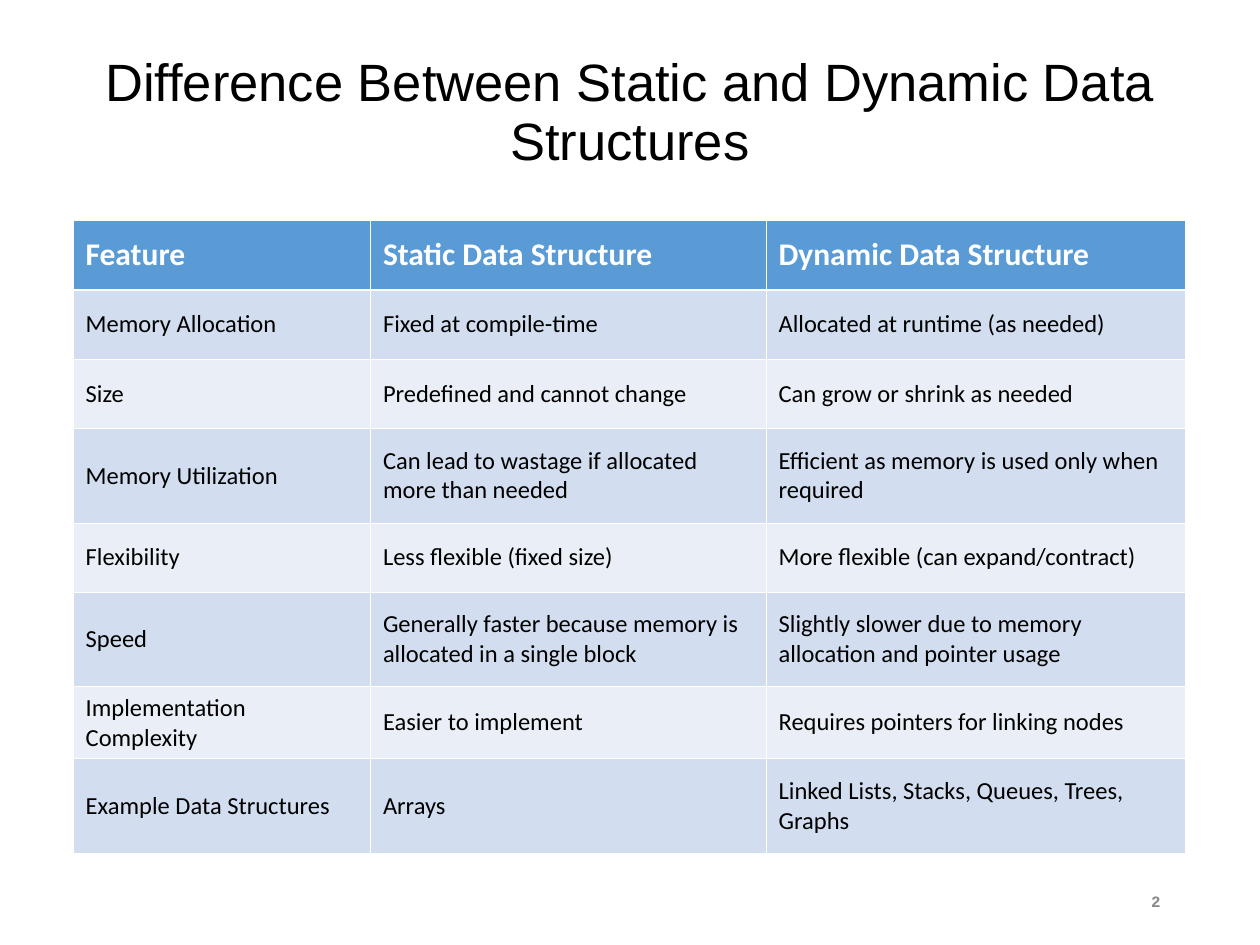
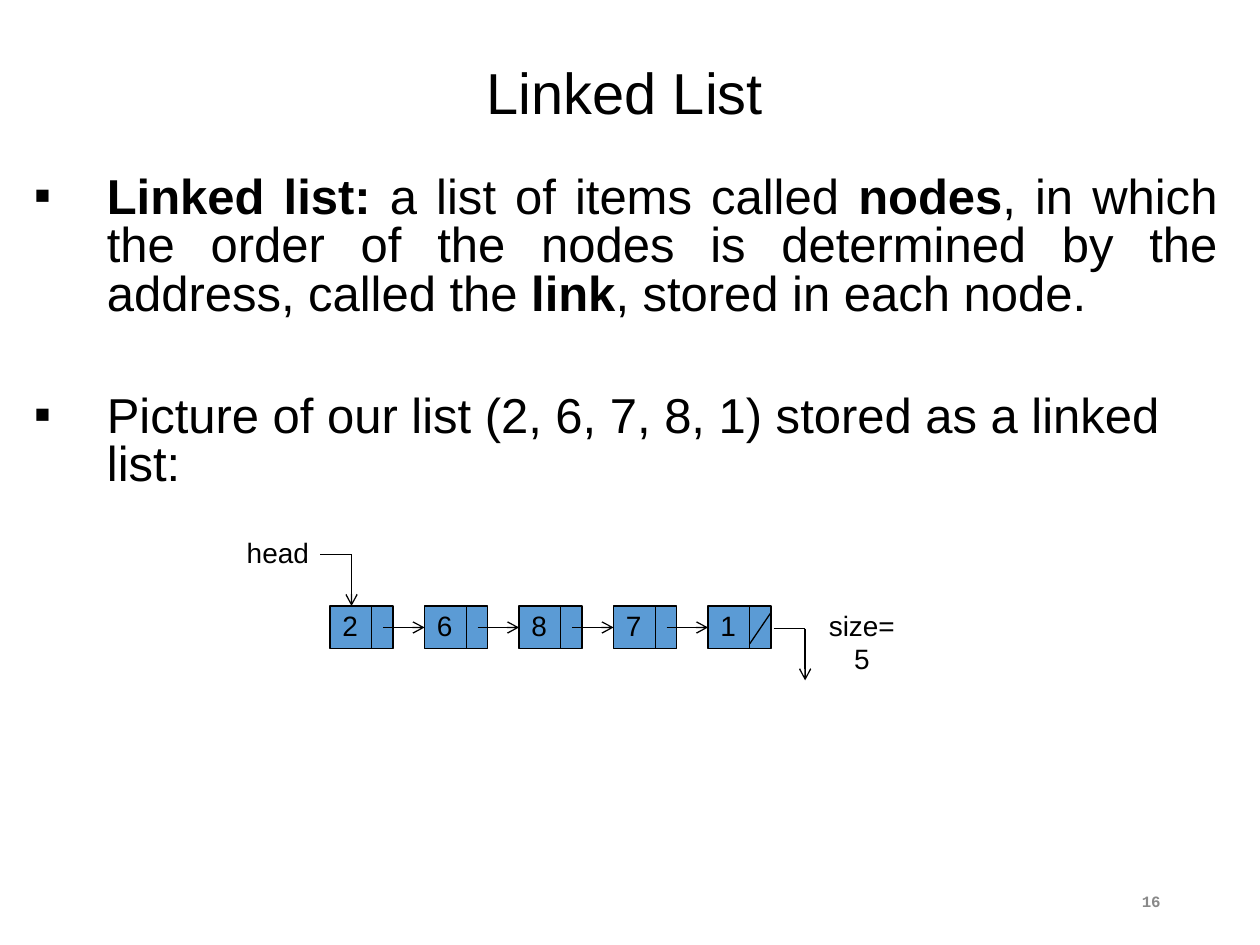
from dataclasses import dataclass

from lxml import etree
from pptx import Presentation
from pptx import util as u
from pptx.dml.color import RGBColor
from pptx.enum import shapes, text
from pptx.oxml import ns

PX = 9144
ALIGN = text.PP_ALIGN
MIDDLE = text.MSO_ANCHOR.MIDDLE


@dataclass(frozen=True)
class Theme:
    ink: str = "000000"
    paper: str = "FFFFFF"
    accent: str = "5B9BD5"
    band_dark: str = "D2DEEF"
    band_light: str = "EAEFF7"
    muted: str = "898989"
    sans: str = "Arial"
    table_font: str = "Calibri"
    mono: str = "Courier New"
    body_size: int = 28
    header_size: int = 18
    cell_size: int = 14
    label_size: int = 16
    number_size: int = 9
    line_width: float = 0.75
    thin_border: float = 0.45
    thick_border: float = 1.47


THEME = Theme()

FEATURES = [
    ("Feature", "Static Data Structure", "Dynamic Data Structure"),
    ("Memory Allocation", "Fixed at compile-time", "Allocated at runtime (as needed)"),
    ("Size", "Predefined and cannot change", "Can grow or shrink as needed"),
    ("Memory Utilization", "Can lead to wastage if allocated more than needed",
     "Efficient as memory is used only when required"),
    ("Flexibility", "Less flexible (fixed size)", "More flexible (can expand/contract)"),
    ("Speed", "Generally faster because memory is allocated in a single block",
     "Slightly slower due to memory allocation and pointer usage"),
    ("Implementation Complexity", "Easier to implement", "Requires pointers for linking nodes"),
    ("Example Data Structures", "Arrays", "Linked Lists, Stacks, Queues, Trees, Graphs"),
]
COLUMN_WIDTHS = (236, 314, 333)
ROW_HEIGHTS = (55, 55, 55, 75, 55, 75, 57, 75)

DEFINITION = [
    ("Linked list:", True),
    (" a list of items called ", False),
    ("nodes", True),
    (", in which the order of the nodes is determined by the address, called the ", False),
    ("link", True),
    (", stored in each node.", False),
]
CAPTION = [("Picture of our list (2, 6, 7, 8, 1) stored as a linked list:", False)]

NODE_VALUES = "26871"
NODE_LEFT, NODE_TOP, NODE_PITCH = 262, 481, 75
NODE_WIDTH, NODE_HEIGHT, VALUE_WIDTH = 50, 34, 33
LINK_Y = NODE_TOP + NODE_HEIGHT // 2


def px(*lengths):
    return [u.Emu(length * PX) for length in lengths]


def rgb(color):
    return RGBColor.from_string(color)


def add_span(para, words, size, color=THEME.ink, font=THEME.sans, bold=False):
    span = para.add_run()
    span.text = words
    span.font.size = u.Pt(size)
    span.font.name = font
    span.font.bold = bold
    span.font.color.rgb = rgb(color)


def add_titled_page(deck, title, size, left, top, number):
    page = deck.slides.add_slide(deck.slide_layouts[5])
    box = page.shapes.title
    box.left, box.top, box.width, box.height = px(left, top, 900, 100)
    frame = box.text_frame
    frame.auto_size = text.MSO_AUTO_SIZE.NONE
    frame.word_wrap = True
    frame.vertical_anchor = MIDDLE
    para = frame.paragraphs[0]
    para.alignment = ALIGN.CENTER
    para.line_spacing = 0.94
    add_span(para, title, size)
    add_page_number(page, number)
    return page


def add_page_number(page, number):
    frame = page.shapes.add_textbox(*px(706, 695, 225, 40)).text_frame
    frame.word_wrap = True
    frame.vertical_anchor = MIDDLE
    para = frame.paragraphs[0]
    para.alignment = ALIGN.RIGHT
    add_span(para, str(number), THEME.number_size, THEME.muted, THEME.mono, True)


def set_border(cell, side, width):
    props = cell._tc.get_or_add_tcPr()
    line = etree.SubElement(props, ns.qn(f"a:ln{side}"), w=str(int(u.Pt(width))))
    fill = etree.SubElement(line, ns.qn("a:solidFill"))
    etree.SubElement(fill, ns.qn("a:srgbClr"), val=THEME.paper)


def fill_cell(cell, words, row):
    header = row == 0
    thick_side = {0: "B", 1: "T"}.get(row)
    for side in "LRTB":
        set_border(cell, side, THEME.thick_border if side == thick_side else THEME.thin_border)
    band = THEME.band_dark if row % 2 else THEME.band_light
    cell.fill.solid()
    cell.fill.fore_color.rgb = rgb(THEME.accent if header else band)
    cell.vertical_anchor = MIDDLE
    add_span(cell.text_frame.paragraphs[0], words,
             THEME.header_size if header else THEME.cell_size,
             THEME.paper if header else THEME.ink, THEME.table_font, header)


def add_feature_table(page):
    size = px(58, 175, sum(COLUMN_WIDTHS), sum(ROW_HEIGHTS))
    table = page.shapes.add_table(len(FEATURES), len(COLUMN_WIDTHS), *size).table
    table.horz_banding = False
    for column, width in zip(table.columns, px(*COLUMN_WIDTHS)):
        column.width = width
    for row, height in zip(table.rows, px(*ROW_HEIGHTS)):
        row.height = height
    for row, entries in enumerate(FEATURES):
        for column, words in enumerate(entries):
            fill_cell(table.cell(row, column), words, row)


def add_bullet(para, spans, alignment):
    props = para._p.get_or_add_pPr()
    indent = 58 * PX
    props.set("marL", str(indent))
    props.set("indent", str(-indent))
    color = etree.SubElement(props, ns.qn("a:buClr"))
    etree.SubElement(color, ns.qn("a:srgbClr"), val=THEME.ink)
    etree.SubElement(props, ns.qn("a:buFont"), typeface=THEME.sans)
    etree.SubElement(props, ns.qn("a:buChar"), char="▪")
    para.alignment = alignment
    para.line_spacing = 0.83
    for words, bold in spans:
        add_span(para, words, THEME.body_size, bold=bold)


def add_explanation(page):
    frame = page.shapes.add_textbox(*px(17, 134, 959, 300)).text_frame
    frame.word_wrap = True
    add_bullet(frame.paragraphs[0], DEFINITION, ALIGN.JUSTIFY)
    caption = frame.add_paragraph()
    add_bullet(caption, CAPTION, ALIGN.LEFT)
    caption.space_before = u.Pt(41.5)


def add_label(page, words, left, top, width, alignment=ALIGN.CENTER):
    frame = page.shapes.add_textbox(*px(left, top, width, 37)).text_frame
    frame.word_wrap = False
    para = frame.paragraphs[0]
    para.alignment = alignment
    add_span(para, words, THEME.label_size)


def add_line(page, start, end, arrow=False):
    line = page.shapes.add_connector(shapes.MSO_CONNECTOR.STRAIGHT, *px(*start, *end))
    line.line.color.rgb = rgb(THEME.ink)
    line.line.width = u.Pt(THEME.line_width)
    if arrow:
        etree.SubElement(line.line._get_or_add_ln(), ns.qn("a:tailEnd"), type="arrow")
    etree.SubElement(line._element.spPr, ns.qn("a:effectLst"))


def add_node(page, value, left):
    box = page.shapes.add_shape(shapes.MSO_SHAPE.RECTANGLE,
                                *px(left, NODE_TOP, NODE_WIDTH, NODE_HEIGHT))
    box.shadow.inherit = False
    box.fill.solid()
    box.fill.fore_color.rgb = rgb(THEME.accent)
    box.line.color.rgb = rgb(THEME.ink)
    box.line.width = u.Pt(THEME.line_width)
    divider = left + VALUE_WIDTH
    add_line(page, (divider, NODE_TOP), (divider, NODE_TOP + NODE_HEIGHT))
    add_label(page, value, left, NODE_TOP - 3, 27, ALIGN.LEFT)


def add_linked_list(page):
    last = len(NODE_VALUES) - 1
    for index, value in enumerate(NODE_VALUES):
        left = NODE_LEFT + index * NODE_PITCH
        add_node(page, value, left)
        if index < last:
            add_line(page, (left + 42, LINK_Y), (left + NODE_PITCH, LINK_Y), arrow=True)
    end = left + NODE_WIDTH
    add_line(page, (end, NODE_TOP + 5), (left + VALUE_WIDTH, NODE_TOP + 30))

    add_label(page, "head", 186, 420, 69)
    add_line(page, (254, 440), (279, 440))
    add_line(page, (279, 440), (279, NODE_TOP), arrow=True)

    add_label(page, "size=5", 642, NODE_TOP - 3, 84)
    add_line(page, (end + 2, LINK_Y + 1), (end + 27, LINK_Y + 1))
    add_line(page, (end + 27, LINK_Y + 1), (end + 27, 540), arrow=True)


def main():
    deck = Presentation()
    deck.slide_width, deck.slide_height = px(1000, 750)
    comparison = add_titled_page(
        deck, "Difference Between Static and Dynamic Data Structures", 30, 50, 40, 2)
    add_feature_table(comparison)
    linked_list = add_titled_page(deck, "Linked List", 33, 46, 25, 16)
    add_explanation(linked_list)
    add_linked_list(linked_list)
    deck.save("out.pptx")


if __name__ == "__main__":
    main()
